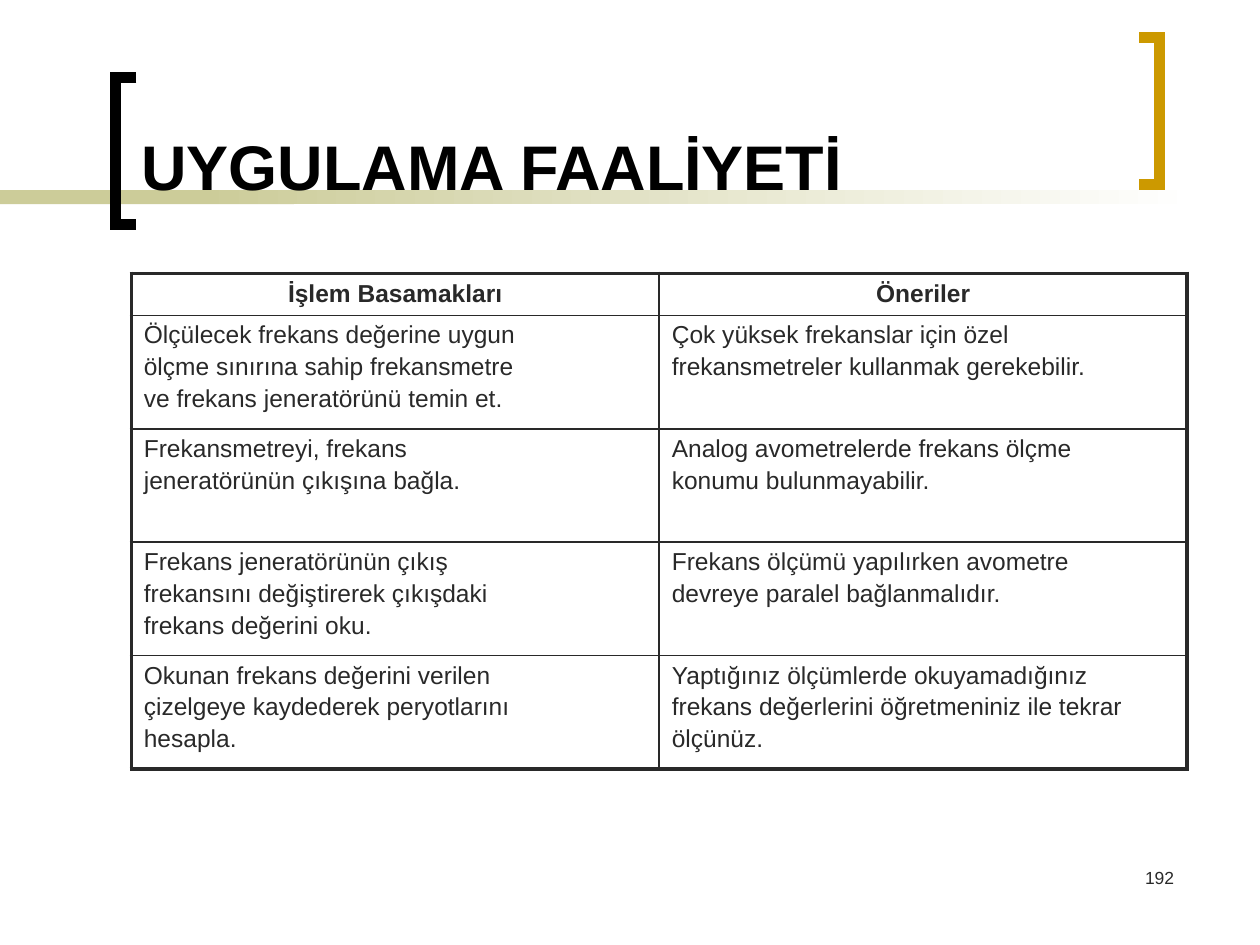
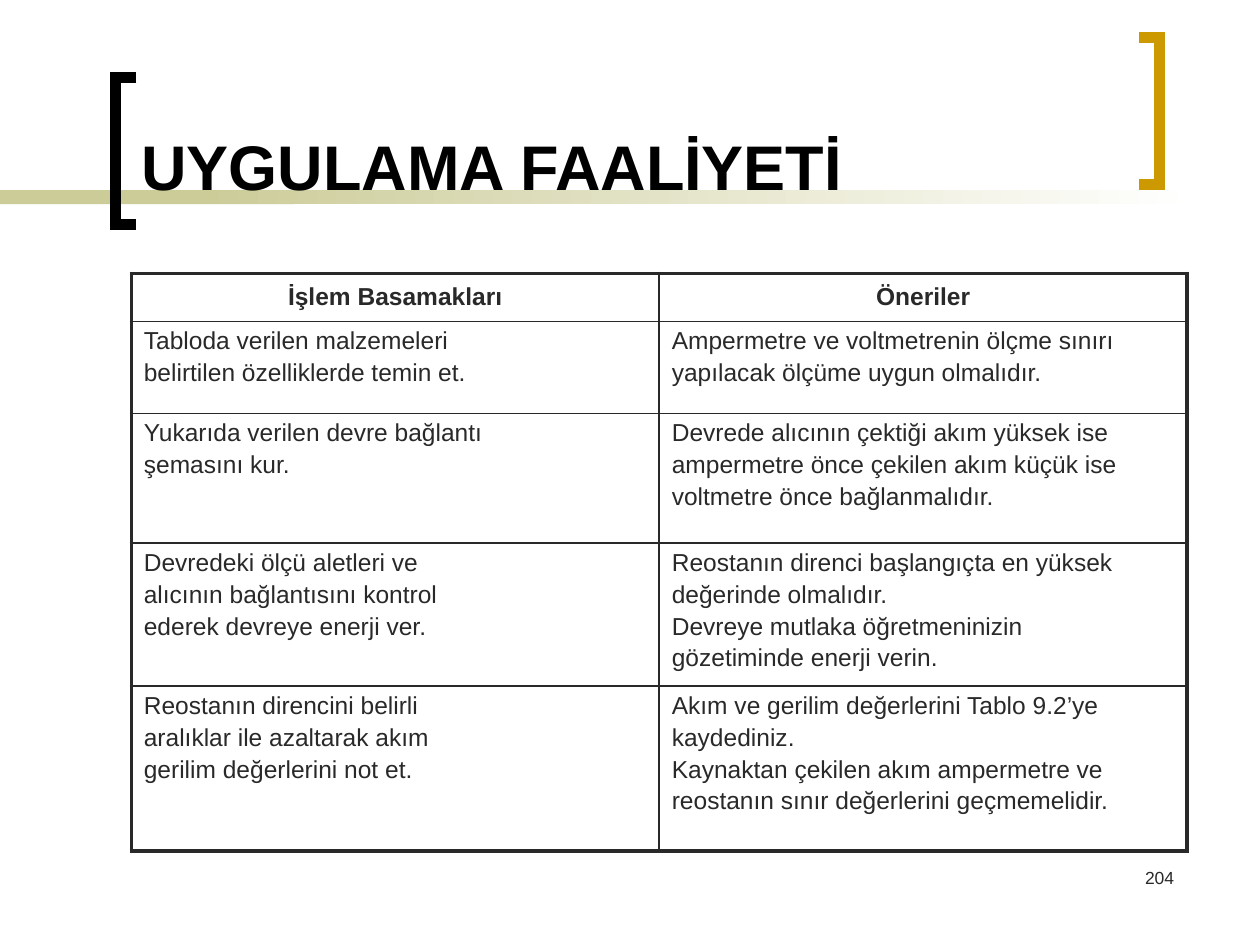
from lxml.etree import SubElement
from pptx import Presentation
from pptx.dml.color import RGBColor
from pptx.enum.shapes import MSO_SHAPE
from pptx.enum.text import MSO_ANCHOR, MSO_AUTO_SIZE, PP_ALIGN
from pptx.oxml.ns import qn
from pptx.util import Pt

BLACK = RGBColor(0x00, 0x00, 0x00)
WHITE = RGBColor(0xFF, 0xFF, 0xFF)
INK = RGBColor(0x29, 0x29, 0x29)
SAND = RGBColor(0xCC, 0xCC, 0x99)
GOLD = RGBColor(0xCC, 0x99, 0x00)

FONT = "Arial"
TITLE = "UYGULAMA FAALİYETİ"
HEADINGS = ("İşlem Basamakları", "Öneriler")
TITLE_ONLY = 5
COLUMN_WIDTH = 301.7
OUTER_BORDER, INNER_BORDER = 2.25, 1

FREQUENCY_STEPS = [
    ("Ölçülecek frekans değerine uygun\nölçme sınırına sahip frekansmetre\n"
     "ve frekans jeneratörünü temin et.",
     "Çok yüksek frekanslar için özel\nfrekansmetreler kullanmak gerekebilir."),
    ("Frekansmetreyi, frekans\njeneratörünün çıkışına bağla.",
     "Analog avometrelerde frekans ölçme\nkonumu bulunmayabilir."),
    ("Frekans jeneratörünün çıkış\nfrekansını değiştirerek çıkışdaki\n"
     "frekans değerini oku.",
     "Frekans ölçümü yapılırken avometre\ndevreye paralel bağlanmalıdır."),
    ("Okunan frekans değerini verilen\nçizelgeye kaydederek peryotlarını\nhesapla.",
     "Yaptığınız ölçümlerde okuyamadığınız\n"
     "frekans değerlerini öğretmeniniz ile tekrar\nölçünüz."),
]
CIRCUIT_STEPS = [
    ("Tabloda verilen malzemeleri\nbelirtilen özelliklerde temin et.",
     "Ampermetre ve voltmetrenin ölçme sınırı\nyapılacak ölçüme uygun olmalıdır."),
    ("Yukarıda verilen devre bağlantı\nşemasını kur.",
     "Devrede alıcının çektiği akım yüksek ise\n"
     "ampermetre önce çekilen akım küçük ise\nvoltmetre önce bağlanmalıdır."),
    ("Devredeki ölçü aletleri ve\nalıcının bağlantısını kontrol\n"
     "ederek devreye enerji ver.",
     "Reostanın direnci başlangıçta en yüksek\ndeğerinde olmalıdır.\n"
     "Devreye mutlaka öğretmeninizin\ngözetiminde enerji verin."),
    ("Reostanın direncini belirli\naralıklar ile azaltarak akım\n"
     "gerilim değerlerini not et.",
     "Akım ve gerilim değerlerini Tablo 9.2’ye\nkaydediniz.\n"
     "Kaynaktan çekilen akım ampermetre ve\nreostanın sınır değerlerini geçmemelidir."),
]


def write_text(frame, text, size=14, color=INK, bold=False, align=PP_ALIGN.LEFT, gap=2.4):
    """Write each line of the text as one formatted paragraph."""
    frame.word_wrap = True
    for index, line in enumerate(text.split("\n")):
        paragraph = frame.add_paragraph() if index else frame.paragraphs[0]
        paragraph.text = line
        paragraph.alignment = align
        paragraph.space_before = Pt(gap if index else 0)
        paragraph.font.name = FONT
        paragraph.font.size = Pt(size)
        paragraph.font.bold = bold
        paragraph.font.color.rgb = color


def add_band(slide, left, width, end_color=None):
    """Add a piece of the title band, solid or fading to an end colour."""
    band = slide.shapes.add_shape(MSO_SHAPE.RECTANGLE, Pt(left), Pt(108.7), Pt(width), Pt(8))
    band.shadow.inherit = False
    band.line.fill.background()
    if end_color is None:
        band.fill.solid()
        band.fill.fore_color.rgb = SAND
        return
    band.fill.gradient()
    band.fill.gradient_angle = 0
    for stop, color in zip(band.fill.gradient_stops, (SAND, end_color)):
        stop.color.rgb = color


def add_bracket(slide, open_x, spine_x, top, color):
    """Add a square bracket that opens away from its spine."""
    bottom = top + 84
    builder = slide.shapes.build_freeform(Pt(open_x), Pt(top))
    corners = [(spine_x, top), (spine_x, bottom), (open_x, bottom)]
    builder.add_line_segments([(Pt(x), Pt(y)) for x, y in corners], close=False)
    bracket = builder.convert_to_shape()
    bracket.shadow.inherit = False
    bracket.fill.background()
    bracket.line.color.rgb = color
    bracket.line.width = Pt(6)
    line = bracket.element.spPr.find(qn("a:ln"))
    SubElement(line, qn("a:miter"), lim="800000")


def add_title(slide):
    """Fill the title placeholder and bring it in front of the band."""
    title = slide.shapes.title
    title.left, title.top, title.width, title.height = Pt(73.5), Pt(8), Pt(564), Pt(111.5)
    write_text(title.text_frame, TITLE, size=36, color=BLACK, bold=True)
    title.text_frame.vertical_anchor = MSO_ANCHOR.BOTTOM
    title.text_frame.auto_size = MSO_AUTO_SIZE.NONE
    title.element.getparent().append(title.element)


def add_page_number(slide, number):
    """Add the page number at the lower right."""
    box = slide.shapes.add_textbox(Pt(528), Pt(492), Pt(150), Pt(36))
    write_text(box.text_frame, str(number), size=10, align=PP_ALIGN.RIGHT)


def set_borders(cell, **widths):
    """Draw the cell's borders with the given widths by side."""
    properties = cell._tc.get_or_add_tcPr()
    for side, width in widths.items():
        line = SubElement(properties, qn(f"a:ln{side}"), w=str(Pt(width)))
        fill = SubElement(line, qn("a:solidFill"))
        SubElement(fill, qn("a:srgbClr"), val=str(INK))


def add_steps_table(slide, steps, row_heights):
    """Add the table of steps and suggestions in a heavy frame."""
    rows = [HEADINGS, *steps]
    last_row, last_column = len(rows) - 1, len(HEADINGS) - 1
    table = slide.shapes.add_table(
        len(rows), len(HEADINGS), Pt(75), Pt(156.2),
        Pt(COLUMN_WIDTH * len(HEADINGS)), Pt(sum(row_heights))).table
    table.first_row = table.horz_banding = False
    for column in table.columns:
        column.width = Pt(COLUMN_WIDTH)
    for row_index, (texts, height) in enumerate(zip(rows, row_heights)):
        table.rows[row_index].height = Pt(height)
        is_heading = row_index == 0
        for column_index, text in enumerate(texts):
            cell = table.cell(row_index, column_index)
            write_text(cell.text_frame, text, bold=is_heading,
                       align=PP_ALIGN.CENTER if is_heading else PP_ALIGN.LEFT)
            cell.vertical_anchor = MSO_ANCHOR.MIDDLE if is_heading else MSO_ANCHOR.TOP
            set_borders(
                cell,
                L=OUTER_BORDER if column_index == 0 else INNER_BORDER,
                R=OUTER_BORDER if column_index == last_column else INNER_BORDER,
                T=OUTER_BORDER if is_heading else INNER_BORDER,
                B=OUTER_BORDER if row_index == last_row else INNER_BORDER)
            cell.fill.background()


def add_activity_slide(presentation, number, steps, row_heights):
    """Add one activity slide with its frame, title, table and number."""
    slide = presentation.slides.add_slide(presentation.slide_layouts[TITLE_ONLY])
    add_band(slide, 0, 168)
    add_band(slide, 114, 570, end_color=WHITE)
    add_bracket(slide, 78, 66, 44.2, BLACK)
    add_bracket(slide, 651, 662.6, 21.4, GOLD)
    add_title(slide)
    add_page_number(slide, number)
    add_steps_table(slide, steps, row_heights)


def main():
    """Build and save the presentation."""
    presentation = Presentation()
    presentation.slide_width, presentation.slide_height = Pt(720), Pt(540)
    add_activity_slide(presentation, 192, FREQUENCY_STEPS, [23.2] + [64.8] * 4)
    add_activity_slide(presentation, 204, CIRCUIT_STEPS, [27.4, 52.6, 74.2, 78.6, 94.3])
    presentation.save("out.pptx")


if __name__ == "__main__":
    main()
